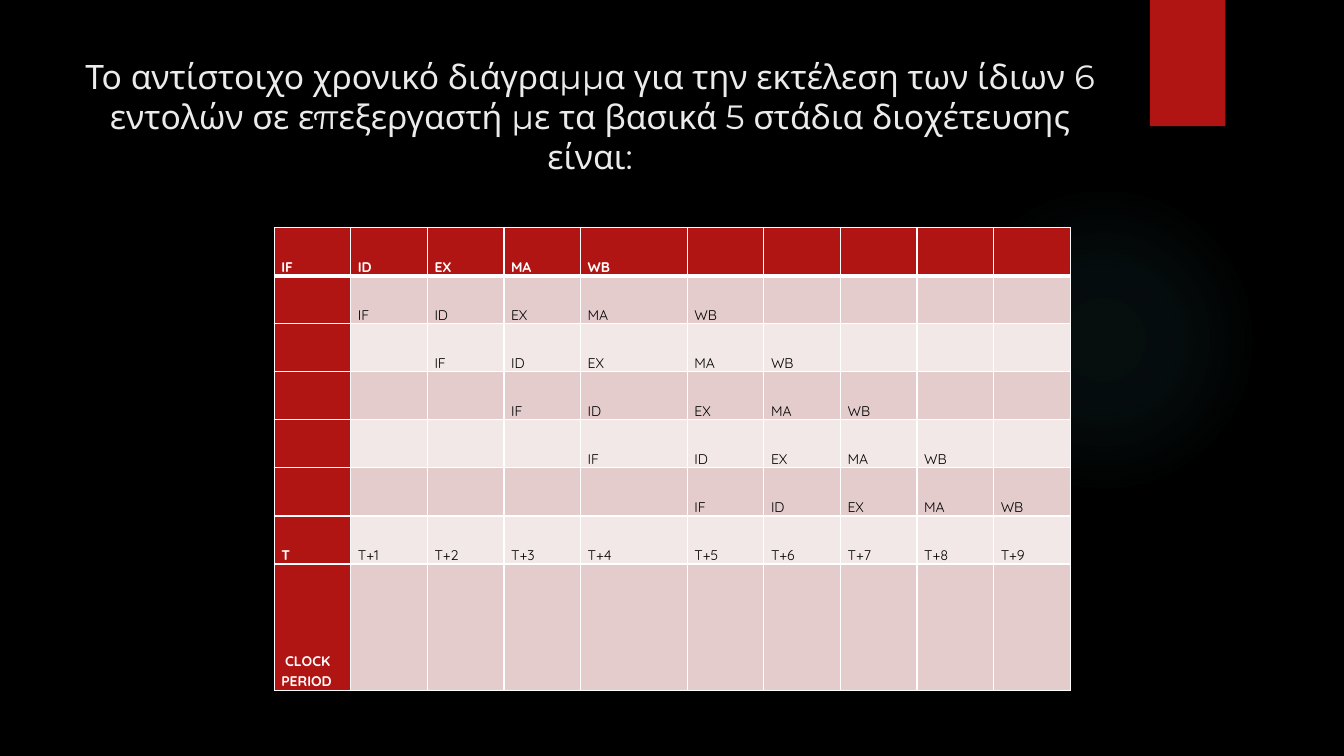
from dataclasses import dataclass

from lxml import etree
from pptx import Presentation
from pptx.dml.color import RGBColor
from pptx.enum.shapes import MSO_SHAPE
from pptx.enum.text import MSO_ANCHOR, MSO_AUTO_SIZE, PP_ALIGN
from pptx.oxml import parse_xml
from pptx.oxml.ns import nsdecls, qn
from pptx.util import Cm, Pt

OVAL, RECTANGLE = MSO_SHAPE.OVAL, MSO_SHAPE.RECTANGLE
TOP, BOTTOM = MSO_ANCHOR.TOP, MSO_ANCHOR.BOTTOM
CENTER, LEFT = PP_ALIGN.CENTER, PP_ALIGN.LEFT
NO_AUTOFIT = MSO_AUTO_SIZE.NONE

COLORS = {
    "background": "000000",
    "title": "EBEBEB",
    "accent": "B01513",
    "glow": "50B9C1",
    "dark_band": "E4CCCC",
    "light_band": "F2E8E7",
    "border": "FFFFFF",
    "header_text": "FFFFFF",
    "body_text": "000000",
}
TITLE = (
    "Το αντίστοιχο χρονικό διάγραμμα για την εκτέλεση των ίδιων 6 "
    "εντολών σε επεξεργαστή με τα βασικά 5 στάδια διοχέτευσης είναι:"
)
STAGES = ["IF", "ID", "EX", "MA", "WB"]
INSTRUCTIONS = 6
PERIODS = INSTRUCTIONS + len(STAGES) - 1
WIDE_COLUMN = 4
COLUMN_WIDTHS = [2.69 if i == WIDE_COLUMN else 1.93 for i in range(PERIODS)]
ROW_HEIGHTS = [1.21] * (INSTRUCTIONS + 1) + [3.18]
GLOW_STOPS = [(0, 7), (36, 6), (69, 0)]


@dataclass
class Decoration:
    kind: MSO_SHAPE
    left: float
    top: float
    width: float
    height: float
    color: str


GLOW = Decoration(OVAL, 23.9, 4.65, 7.82, 7.82, "glow")
BOOKMARK = Decoration(RECTANGLE, 28.98, 0, 1.9, 3.18, "accent")


def rgb(name: str) -> RGBColor:
    return RGBColor.from_string(COLORS[name])


def add_decoration(page, item: Decoration):
    shape = page.shapes.add_shape(
        item.kind, Cm(item.left), Cm(item.top), Cm(item.width), Cm(item.height)
    )
    shape.shadow.inherit = False
    shape.fill.solid()
    shape.fill.fore_color.rgb = rgb(item.color)
    shape.line.fill.background()
    return shape


def fade_radially(shape, color: str) -> None:
    stops = "".join(
        f'<a:gs pos="{position * 1000}"><a:srgbClr val="{COLORS[color]}">'
        f'<a:alpha val="{opacity * 1000}"/></a:srgbClr></a:gs>'
        for position, opacity in GLOW_STOPS
    )
    gradient = parse_xml(
        f'<a:gradFill {nsdecls("a")} rotWithShape="1"><a:gsLst>{stops}</a:gsLst>'
        '<a:path path="circle"><a:fillToRect l="50000" t="50000" r="50000" b="50000"/>'
        "</a:path></a:gradFill>"
    )
    properties = shape._element.spPr
    properties.replace(properties.find(qn("a:solidFill")), gradient)


def add_span(para, text: str, font: str, size: float, color: str, bold: bool) -> None:
    span = para.add_run()
    span.text = text
    span.font.name = font
    span.font.size = Pt(size)
    span.font.bold = bold
    span.font.color.rgb = rgb(color)


def set_title(page) -> None:
    box = page.shapes.title
    box.left, box.top, box.width, box.height = Cm(1.8), Cm(1.27), Cm(26.14), Cm(3.89)
    frame = box.text_frame
    frame.word_wrap = True
    frame.auto_size = NO_AUTOFIT
    frame.vertical_anchor = TOP
    para = frame.paragraphs[0]
    para.alignment = CENTER
    add_span(para, TITLE, "Montserrat", 24, "title", False)


def set_borders(cell, row: int) -> None:
    properties = cell._tc.get_or_add_tcPr()
    header_rule = {(0, "lnB"), (1, "lnT")}
    for side in ("lnL", "lnR", "lnT", "lnB"):
        weight = Pt(3 if (row, side) in header_rule else 1)
        line = etree.SubElement(properties, qn(f"a:{side}"), w=str(int(weight)))
        fill = etree.SubElement(line, qn("a:solidFill"))
        etree.SubElement(fill, qn("a:srgbClr"), val=COLORS["border"])


def timing_rows() -> list[list[str]]:
    rows = []
    for start in range(INSTRUCTIONS):
        after = PERIODS - start - len(STAGES)
        rows.append([""] * start + STAGES + [""] * after)
    rows.append(["T"] + [f"T+{period}" for period in range(1, PERIODS)])
    rows.append([" CLOCK PERIOD"] + [""] * (PERIODS - 1))
    return rows


def fill_cell(cell, row: int, column: int, text: str) -> None:
    is_header = row == 0 or column == 0
    band = "dark_band" if row % 2 else "light_band"
    set_borders(cell, row)
    cell.fill.solid()
    cell.fill.fore_color.rgb = rgb("accent" if is_header else band)
    cell.vertical_anchor = BOTTOM
    cell.margin_left = cell.margin_right = Cm(0.18)
    cell.margin_top = cell.margin_bottom = 0
    if text:
        para = cell.text_frame.paragraphs[0]
        para.alignment = LEFT
        para.line_spacing = 1.15
        color = "header_text" if is_header else "body_text"
        add_span(para, text, "Quicksand", 10, color, is_header)


def add_timing_table(page) -> None:
    table = page.shapes.add_table(
        len(ROW_HEIGHTS), PERIODS, Cm(6.91), Cm(5.74),
        Cm(sum(COLUMN_WIDTHS)), Cm(sum(ROW_HEIGHTS)),
    ).table
    for column, width in zip(table.columns, COLUMN_WIDTHS):
        column.width = Cm(width)
    for line, height in zip(table.rows, ROW_HEIGHTS):
        line.height = Cm(height)
    for row, texts in enumerate(timing_rows()):
        for column, text in enumerate(texts):
            fill_cell(table.cell(row, column), row, column, text)


def main() -> None:
    deck = Presentation()
    deck.slide_width, deck.slide_height = Cm(33.87), Cm(19.05)
    page = deck.slides.add_slide(deck.slide_layouts.get_by_name("Title Only"))

    # Background and decorations
    page.background.fill.solid()
    page.background.fill.fore_color.rgb = rgb("background")
    fade_radially(add_decoration(page, GLOW), GLOW.color)
    add_decoration(page, BOOKMARK)

    # Title and pipeline timing
    set_title(page)
    add_timing_table(page)
    deck.save("out.pptx")


if __name__ == "__main__":
    main()
